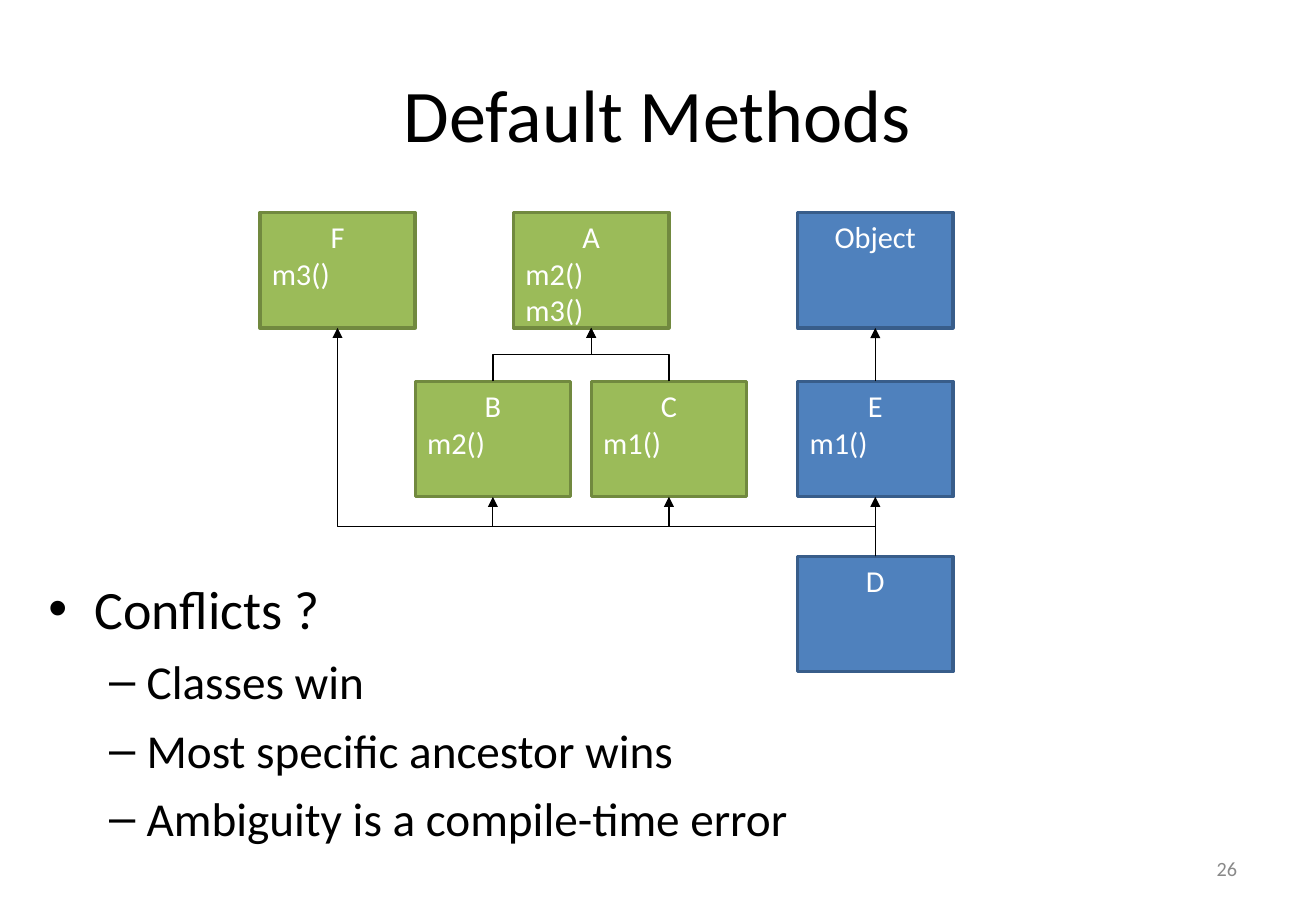
"""Builds the Default Methods slide: a type hierarchy and its conflict rules."""
from dataclasses import dataclass

from lxml import etree
from pptx import Presentation
from pptx.dml.color import RGBColor
from pptx.enum.shapes import MSO_CONNECTOR, MSO_SHAPE
from pptx.enum.text import MSO_ANCHOR, PP_ALIGN
from pptx.oxml.ns import qn
from pptx.util import Inches, Pt

RECTANGLE = MSO_SHAPE.RECTANGLE
STRAIGHT, ELBOW = MSO_CONNECTOR.STRAIGHT, MSO_CONNECTOR.ELBOW
TOP, MIDDLE = MSO_ANCHOR.TOP, MSO_ANCHOR.MIDDLE
LEFT, CENTER, RIGHT = PP_ALIGN.LEFT, PP_ALIGN.CENTER, PP_ALIGN.RIGHT
TOP_SITE, BOTTOM_SITE = 0, 2


@dataclass(frozen=True)
class Theme:
    font: str = "Calibri"
    ink: str = "000000"
    box_text: str = "FFFFFF"
    muted: str = "898989"
    class_colors: tuple = ("4F81BD", "385D8A")
    interface_colors: tuple = ("9BBB59", "71893F")
    title_size: int = 44
    box_size: int = 18
    number_size: int = 12
    box_line: float = 2
    arrow_line: float = 0.75


THEME = Theme()

TITLE = "Default Methods"
PAGE_NUMBER = "26"
RULES = [
    (0, "Conflicts ?"),
    (1, "Classes win"),
    (1, "Most specific ancestor wins"),
    (1, "Ambiguity is a compile-time error"),
]
RULE_LEVELS = [
    {"size": 32, "space": 8, "bullet": "•", "margin": 0.38, "indent": -0.38},
    {"size": 28, "space": 7, "bullet": "–", "margin": 0.81, "indent": -0.31},
]
ROW_TOPS = [1.75, 3.14, 4.58]
BOX_WIDTH, BOX_HEIGHT = 1.28, 0.95
TYPES = {
    "D": (6.57, 2, THEME.class_colors, []),
    "E": (6.57, 1, THEME.class_colors, ["m1()"]),
    "Object": (6.57, 0, THEME.class_colors, []),
    "C": (4.87, 1, THEME.interface_colors, ["m1()"]),
    "A": (4.23, 0, THEME.interface_colors, ["m2()", "m3()"]),
    "B": (3.42, 1, THEME.interface_colors, ["m2()"]),
    "F": (2.14, 0, THEME.interface_colors, ["m3()"]),
}
INHERITANCE = [
    ("D", "C"), ("D", "B"), ("B", "A"), ("C", "A"),
    ("D", "F"), ("E", "Object"), ("D", "E"),
]


def color(value):
    return RGBColor.from_string(value)


def set_paragraph(paragraph, text, size, ink, alignment):
    paragraph.text = text
    paragraph.alignment = alignment
    paragraph.font.name = THEME.font
    paragraph.font.size = Pt(size)
    paragraph.font.color.rgb = color(ink)


def add_paragraphs(frame, count):
    return [frame.paragraphs[0]] + [frame.add_paragraph() for _ in range(count - 1)]


def add_text_frame(slide, box, anchor):
    frame = slide.shapes.add_textbox(*map(Inches, box)).text_frame
    frame.word_wrap = True
    frame.vertical_anchor = anchor
    return frame


def add_label(slide, box, text, size, ink, alignment):
    frame = add_text_frame(slide, box, MIDDLE)
    set_paragraph(frame.paragraphs[0], text, size, ink, alignment)


def add_rules(slide):
    frame = add_text_frame(slide, (0.3, 4.69, 8.02, 2.56), TOP)
    for paragraph, (depth, text) in zip(add_paragraphs(frame, len(RULES)), RULES):
        level = RULE_LEVELS[depth]
        set_paragraph(paragraph, text, level["size"], THEME.ink, LEFT)
        paragraph.level = depth
        paragraph.space_before = Pt(level["space"])
        properties = paragraph._p.get_or_add_pPr()
        properties.set("marL", str(Inches(level["margin"])))
        properties.set("indent", str(Inches(level["indent"])))
        font = etree.SubElement(properties, qn("a:buFont"))
        font.set("typeface", "Arial")
        bullet = etree.SubElement(properties, qn("a:buChar"))
        bullet.set("char", level["bullet"])
        defaults = properties.find(qn("a:defRPr"))
        if defaults is not None:
            properties.append(defaults)


def add_type(slide, name):
    left, row, (fill, line), methods = TYPES[name]
    box = (left, ROW_TOPS[row], BOX_WIDTH, BOX_HEIGHT)
    shape = slide.shapes.add_shape(RECTANGLE, *map(Inches, box))
    shape.shadow.inherit = False
    shape.fill.solid()
    shape.fill.fore_color.rgb = color(fill)
    shape.line.color.rgb = color(line)
    shape.line.width = Pt(THEME.box_line)
    frame = shape.text_frame
    frame.word_wrap = True
    frame.vertical_anchor = TOP
    lines = [name] + methods
    for index, paragraph in enumerate(add_paragraphs(frame, len(lines))):
        alignment = LEFT if index else CENTER
        set_paragraph(paragraph, lines[index], THEME.box_size, THEME.box_text, alignment)
    return shape


def bend_upward(connector, run, rise, bend):
    """Turn an elbow so that it leaves and arrives vertically."""
    center_x = connector.left + connector.width // 2
    center_y = connector.top + connector.height // 2
    width, height = Inches(rise), Inches(abs(run))
    connector.left, connector.top = center_x - width // 2, center_y - height // 2
    connector.width, connector.height = width, height
    properties = connector._element.spPr
    transform = properties.find(qn("a:xfrm"))
    transform.set("rot", "5400000" if run > 0 else "16200000")
    transform.set("flipH", "1" if run > 0 else "0")
    transform.set("flipV", "1")
    guides = properties.find(qn("a:prstGeom")).find(qn("a:avLst"))
    guide = etree.SubElement(guides, qn("a:gd"))
    guide.set("name", "adj1")
    guide.set("fmla", f"val {round(bend * 100000)}")


def add_inheritance(slide, shapes, child, parent):
    child_left, child_row = TYPES[child][:2]
    parent_left, parent_row = TYPES[parent][:2]
    run = parent_left - child_left
    kind = ELBOW if run else STRAIGHT
    connector = slide.shapes.add_connector(kind, 0, 0, 0, 0)
    connector.begin_connect(shapes[child], TOP_SITE)
    connector.end_connect(shapes[parent], BOTTOM_SITE)
    if run:
        rise = ROW_TOPS[child_row] - ROW_TOPS[parent_row] - BOX_HEIGHT
        gap = ROW_TOPS[child_row] - ROW_TOPS[child_row - 1] - BOX_HEIGHT
        bend_upward(connector, run, rise, gap / 2 / rise)
    connector.line.color.rgb = color(THEME.ink)
    connector.line.width = Pt(THEME.arrow_line)
    arrowhead = etree.SubElement(connector.line._get_or_add_ln(), qn("a:tailEnd"))
    arrowhead.set("type", "triangle")
    etree.SubElement(connector._element.spPr, qn("a:effectLst"))


def main():
    presentation = Presentation()
    presentation.slide_width, presentation.slide_height = Inches(10.84), Inches(7.5)
    slide = presentation.slides.add_slide(presentation.slide_layouts[6])
    add_label(slide, (0.54, 0.3, 9.75, 1.25), TITLE, THEME.title_size, THEME.ink, CENTER)
    add_rules(slide)
    shapes = {name: add_type(slide, name) for name in TYPES}
    for child, parent in INHERITANCE:
        add_inheritance(slide, shapes, child, parent)
    add_label(slide, (7.76, 6.95, 2.53, 0.4), PAGE_NUMBER, THEME.number_size, THEME.muted, RIGHT)
    presentation.save("out.pptx")


if __name__ == "__main__":
    main()
